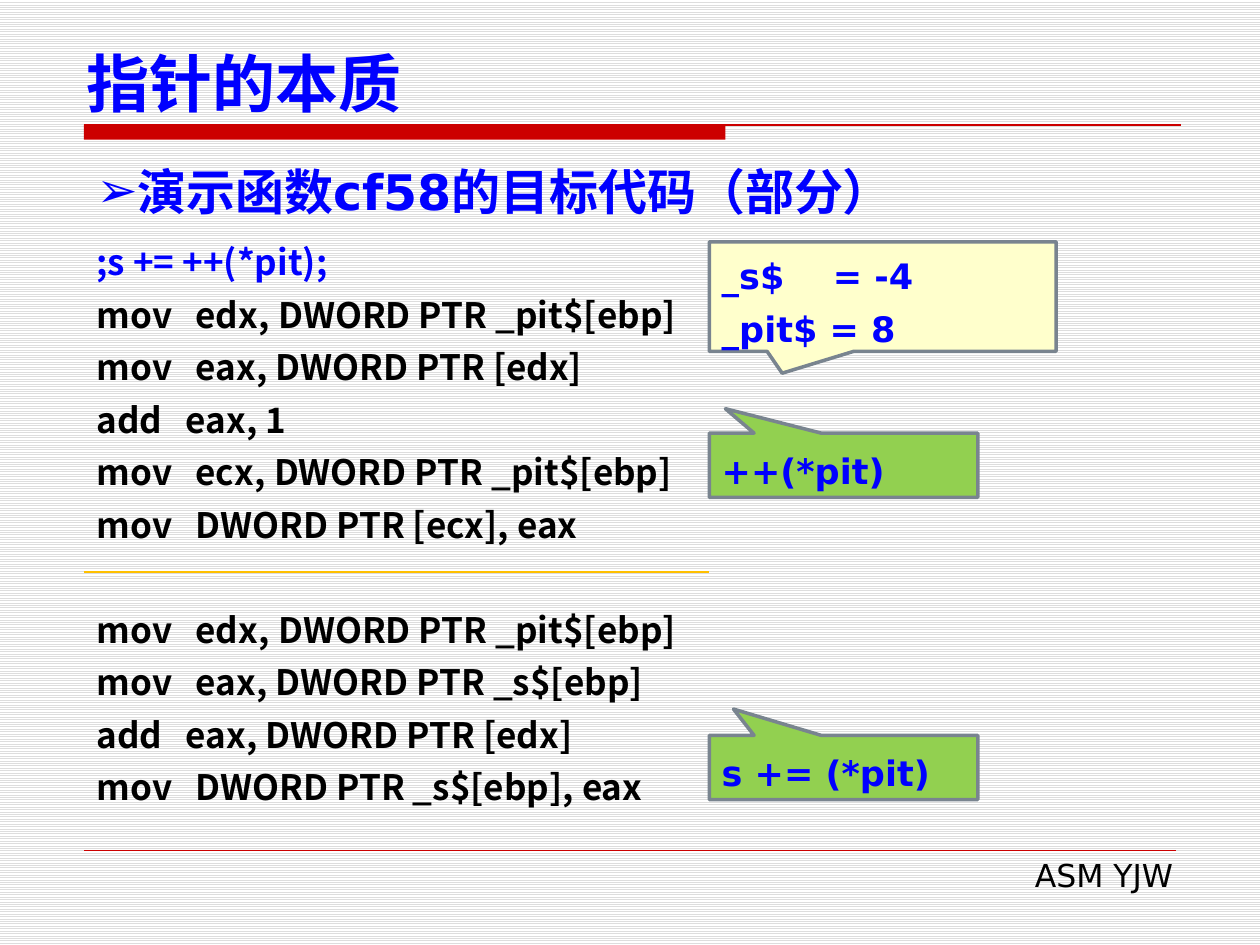
from pptx import Presentation
from pptx.dml.color import RGBColor
from pptx.enum.dml import MSO_PATTERN
from pptx.enum.shapes import MSO_CONNECTOR as Conn, MSO_SHAPE as Kind
from pptx.enum.text import MSO_ANCHOR as Anchor, MSO_AUTO_SIZE as Fit, PP_ALIGN as Align
from pptx.oxml.ns import qn
from pptx.util import Pt
from lxml.etree import SubElement as Sub

BLUE = RGBColor(0x00, 0x00, 0xFF)
BLACK = RGBColor(0x00, 0x00, 0x00)
WHITE = RGBColor(0xFF, 0xFF, 0xFF)
GREY = RGBColor(0xDD, 0xDD, 0xDD)
RED = RGBColor(0xCC, 0x00, 0x00)
GOLD = RGBColor(0xFF, 0xC0, 0x00)
GREEN = RGBColor(0x92, 0xD0, 0x50)
CREAM = RGBColor(0xFF, 0xFF, 0xCC)
SLATE = RGBColor(0x79, 0x84, 0x8F)
SANS, HAN = "DejaVu Sans", "Noto Sans CJK SC"
LEFT, SPLIT = 48, 405.35  # left margin, left edge of the callouts


def write(shape, lines, font, size, anchor=Anchor.TOP, color=BLUE, bold=True,
          bullet=None, tabs=None, **form):
    """Fill a shape with paragraphs; the tab size depends on a line's first word."""
    frame = shape.text_frame
    frame.word_wrap, frame.auto_size = True, Fit.NONE
    frame.vertical_anchor = anchor
    frame.text = "\n".join(lines)
    look = {"name": font, "size": Pt(size), "bold": bold}
    form = {"alignment": Align.LEFT, "space_before": Pt(0), **form}
    for para in frame.paragraphs:
        for key, val in form.items():
            setattr(para, key, val)
        props = para._p.get_or_add_pPr()
        props.set("marL", "0")
        props.set("indent", "0")
        if bullet:
            Sub(props, qn("a:buFont"), typeface=SANS)
            Sub(props, qn("a:buChar"), char=bullet)
        else:
            Sub(props, qn("a:buNone"))
        stop = (tabs or {}).get(para.text.split()[0])
        if stop:
            props.set("defTabSz", str(Pt(stop)))
        for run in para.runs:
            for key, val in look.items():
                setattr(run.font, key, val)
            run.font.color.rgb = color
            Sub(run._r.get_or_add_rPr(), qn("a:ea"), typeface=font)


def place(shape, *box):
    for key, val in zip(("left", "top", "width", "height"), box):
        setattr(shape, key, Pt(val))
    return shape


# Slide with a lined background
deck = Presentation()
deck.slide_width, deck.slide_height = Pt(720), Pt(540)
slide = deck.slides.add_slide(deck.slide_layouts[3])
shapes = slide.shapes
title, head, code = slide.placeholders
back = slide.background.fill
back.patterned()
back.pattern = MSO_PATTERN.LIGHT_HORIZONTAL
back.fore_color.rgb, back.back_color.rgb = GREY, WHITE

# Red bar under the title
bar = place(shapes.add_shape(Kind.RECTANGLE, 0, 0, 0, 0), LEFT, 71.3, 366.5, 8.6)
bar.shadow.inherit = False
bar.fill.solid()
bar.fill.fore_color.rgb = RED
bar.line.fill.background()

# Rules: title, footer, between the code parts
for end, y, color, width in (
    (674.65, 71.4, RED, 1),
    (671.75, 486, RED, 0.25),
    (SPLIT, 326.9, GOLD, 1),
):
    rule = shapes.add_connector(Conn.STRAIGHT, Pt(LEFT), Pt(y), Pt(end), Pt(y))
    rule.line.color.rgb, rule.line.width = color, Pt(width)
    Sub(rule._element.spPr, qn("a:effectLst"))

# Title and heading
write(place(title, 42.5, 21, 652.3, 51.1), ["指针的本质"], HAN, 36, Anchor.BOTTOM)
write(place(head, LEFT, 88.6, 623.5, 41), ["演示函数cf58的目标代码（部分）"],
      SANS, 28, bullet="➢")

# Code listing: source line, then two groups of instructions
lines = [
    ";s += ++(*pit);",
    "mov\tedx, DWORD PTR _pit$[ebp]",
    "mov\teax, DWORD PTR [edx]",
    "add\teax, 1",
    "mov\tecx, DWORD PTR _pit$[ebp]",
    "mov\tDWORD PTR [ecx], eax",
    "mov\tedx, DWORD PTR _pit$[ebp]",
    "mov\teax, DWORD PTR _s$[ebp]",
    "add\teax, DWORD PTR [edx]",
    "mov\tDWORD PTR _s$[ebp], eax",
]
write(place(code, LEFT, 128, 612.7, 340.6), lines, HAN, 20, color=BLACK,
      tabs={"mov": 56.6, "add": 51}, line_spacing=Pt(30))
paras = code.text_frame.paragraphs
paras[0].runs[0].font.color.rgb = BLUE
paras[6].space_before = Pt(30)

# Callouts
for lines, y, wide, high, fill, tip in (
    (["++(*pit)"], 247.5, 153.4, 36.7, GREEN, (-0.44, -0.88)),
    (["s += (*pit)"], 420.2, 153.4, 36.7, GREEN, (-0.41, -0.91)),
    (["_s$\t= -4", "_pit$ = 8"], 138.2, 198.2, 62.6, CREAM, (-0.29, 0.7)),
):
    note = shapes.add_shape(Kind.RECTANGULAR_CALLOUT, 0, 0, 0, 0)
    place(note, SPLIT, y, wide, high)
    note.shadow.inherit = False
    note.adjustments[0], note.adjustments[1] = tip
    note.fill.solid()
    note.fill.fore_color.rgb = fill
    note.line.color.rgb, note.line.width = SLATE, Pt(2)
    write(note, lines, SANS, 20, Anchor.MIDDLE, tabs={"_s$": 63.5},
          line_spacing=Pt(30))

# Footer
foot = place(shapes.add_textbox(0, 0, 0, 0), 275, 485.6, 402.5, 28.8)
write(foot, ["ASM YJW"], SANS, 18, color=BLACK, bold=False, alignment=Align.RIGHT)

deck.save("out.pptx")
